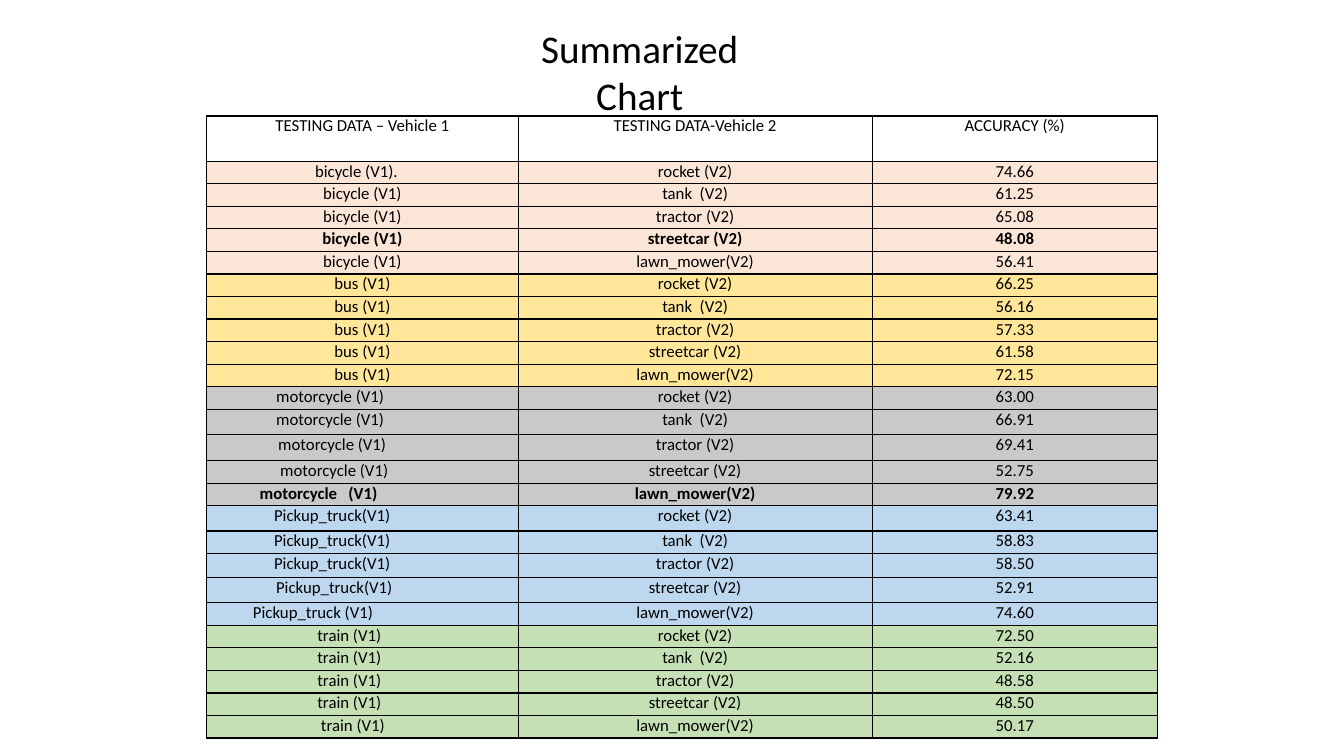
from pptx import Presentation
from pptx.dml.color import RGBColor
from pptx.enum.text import MSO_AUTO_SIZE, PP_ALIGN
from pptx.oxml import parse_xml
from pptx.oxml.ns import nsdecls
from pptx.util import Emu, Pt

BLACK = RGBColor(0x00, 0x00, 0x00)
PEACH = RGBColor(0xFB, 0xE5, 0xD6)
YELLOW = RGBColor(0xFF, 0xE6, 0x99)
GREY = RGBColor(0xC9, 0xC9, 0xC9)
BLUE = RGBColor(0xBD, 0xD7, 0xEE)
GREEN = RGBColor(0xC5, 0xE0, 0xB4)

EMU_PER_PX = 9144  # 100 px to the inch


def px(length):
    return Emu(round(length * EMU_PER_PX))


def write(frame, text, size, bold=False):
    para = frame.paragraphs[0]
    para.alignment = PP_ALIGN.CENTER
    span = para.add_run()
    span.text = text
    span.font.color.rgb = BLACK
    for name, value in {"name": "Calibri", "size": Pt(size), "bold": bold}.items():
        setattr(span.font, name, value)


# Results: first vehicle, row colour, accuracies, extra right margins
HEADERS = ["TESTING DATA – Vehicle 1", "TESTING DATA-Vehicle 2", "ACCURACY (%)"]
SECOND_VEHICLES = ["rocket (V2)", "tank  (V2)", "tractor (V2)",
                   "streetcar (V2)", "lawn_mower(V2)"]
GROUPS = [
    ("bicycle (V1)", PEACH, ["74.66", "61.25", "65.08", "48.08", "56.41"],
     [12, 0, 0, 0, 0]),
    ("bus (V1)", YELLOW, ["66.25", "56.16", "57.33", "61.58", "72.15"],
     [0, 0, 0, 0, 0]),
    ("motorcycle (V1)", GREY, ["63.00", "66.91", "69.41", "52.75", "79.92"],
     [64, 64, 60, 56, 87]),
    ("Pickup_truck(V1)", BLUE, ["63.41", "58.83", "58.50", "52.91", "74.60"],
     [60, 60, 60, 56, 98]),
    ("train (V1)", GREEN, ["72.50", "52.16", "48.58", "48.50", "50.17"],
     [26, 26, 26, 26, 19]),
]
# Row numbers whose first label is spelled differently
LABELS = {1: "bicycle (V1).", 15: "motorcycle   (V1)", 20: "Pickup_truck (V1)"}
BOLD_ROWS = {4, 15}

rows = [(HEADERS, None, 0)]
for vehicle, colour, accuracies, margins in GROUPS:
    for second, accuracy, margin in zip(SECOND_VEHICLES, accuracies, margins):
        label = LABELS.get(len(rows), vehicle)
        rows.append(([label, second, accuracy], colour, margin))

# Page
deck = Presentation()
deck.slide_width, deck.slide_height = px(1333), px(750)
page = deck.slides.add_slide(deck.slide_layouts[6])

# Table: a few fixed row heights, the rest share what is left
COLUMN_WIDTHS = [309, 351, 283]
TABLE_HEIGHT = 618
FIXED_HEIGHTS = {0: 45, 13: 25, 14: 26, 12: 25, 16: 25, 18: 24, 19: 25}
del FIXED_HEIGHTS[14]
FIXED_HEIGHTS[13] = 26
plain_height = ((TABLE_HEIGHT - sum(FIXED_HEIGHTS.values()))
                / (len(rows) - len(FIXED_HEIGHTS)))
table = page.shapes.add_table(len(rows), len(COLUMN_WIDTHS), px(205), px(115),
                              px(sum(COLUMN_WIDTHS)), px(TABLE_HEIGHT)).table
table.first_row = False
table.horz_banding = False
for column, width in zip(table.columns, COLUMN_WIDTHS):
    column.width = px(width)

for number, (texts, colour, margin) in enumerate(rows):
    table.rows[number].height = px(FIXED_HEIGHTS.get(number, plain_height))
    for position, text in enumerate(texts):
        cell = table.cell(number, position)
        extra = margin if position == 0 else 0
        layout = {"margin_left": px(5), "margin_right": px(5 + extra),
                  "margin_top": 0, "margin_bottom": 0}
        for name, value in layout.items():
            setattr(cell, name, value)
        write(cell.text_frame, text, 12, number in BOLD_ROWS)
        if colour is None:
            cell.fill.background()
        else:
            cell.fill.solid()
            cell.fill.fore_color.rgb = colour
        # Borders come before the fill in the cell properties
        properties = cell._tc.get_or_add_tcPr()
        for order, side in enumerate(["lnL", "lnR", "lnT", "lnB"]):
            properties.insert(order, parse_xml(
                f'<a:{side} {nsdecls("a")} w="12700"><a:solidFill>'
                f'<a:srgbClr val="{BLACK}"/></a:solidFill></a:{side}>'))

# Title
box = page.shapes.add_textbox(px(503), px(19), px(263), px(104))
box.text_frame.word_wrap = True
box.text_frame.auto_size = MSO_AUTO_SIZE.SHAPE_TO_FIT_TEXT
write(box.text_frame, "Summarized Chart", 28)

deck.save("out.pptx")
